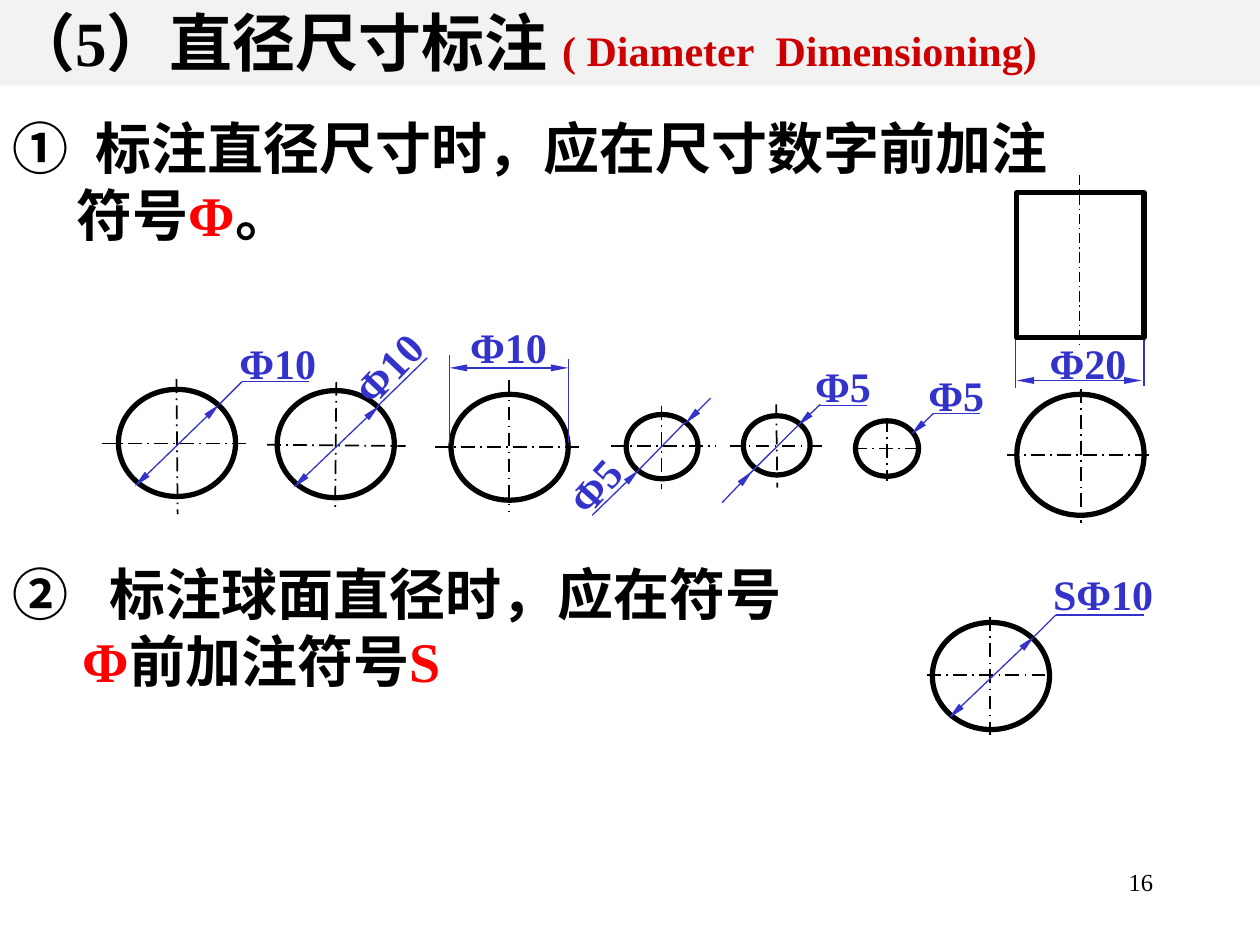
from pptx import Presentation
from pptx.dml.color import RGBColor
from pptx.enum.dml import MSO_LINE
from pptx.enum.shapes import MSO_CONNECTOR, MSO_SHAPE
from pptx.enum.text import MSO_ANCHOR as ANCHOR, PP_ALIGN as ALIGN
from pptx.oxml.ns import qn
from pptx.util import Pt
from lxml.etree import SubElement

PX = 9144
FONT = "Times New Roman"
COLORS = {
    "ink": "000000",
    "dimension": "3333CC",
    "symbol": "FF0000",
    "subtitle": "CC0000",
    "band": "F2F2F2",
}


def color(name):
    return RGBColor.from_string(COLORS[name])


def px(*lengths):
    return [length * PX for length in lengths]


def add_run(paragraph, text, size, ink="ink", bold=True, spacing=0):
    run = paragraph.add_run()
    run.text = text
    run.font.name = FONT
    run.font.size = Pt(size)
    run.font.bold = bold
    run.font.color.rgb = color(ink)
    if spacing:
        run._r.get_or_add_rPr().set("spc", str(spacing * 100))


def add_text_box(shapes, box, anchor=ANCHOR.MIDDLE, wrap=True):
    frame = shapes.add_textbox(*px(*box)).text_frame
    frame.word_wrap = wrap
    frame.vertical_anchor = anchor
    return frame


def add_label(view, text, box, rotation=0):
    shape = view.add_textbox(*px(*box))
    shape.rotation = rotation
    frame = shape.text_frame
    frame.word_wrap = False
    frame.vertical_anchor = ANCHOR.MIDDLE
    frame.paragraphs[0].alignment = ALIGN.CENTER
    add_run(frame.paragraphs[0], text, 24, "dimension")


def add_outline(view, preset, box):
    outline = view.add_shape(preset, *px(*box))
    outline.shadow.inherit = False
    outline.fill.background()
    outline.line.color.rgb = color("ink")
    outline.line.width = Pt(3)


def add_line(view, ends, ink="dimension", width=0.75, dash=None, arrows=()):
    line = view.add_connector(MSO_CONNECTOR.STRAIGHT, *px(*ends))
    line.line.color.rgb = color(ink)
    line.line.width = Pt(width)
    if dash:
        line.line.dash_style = dash
    outline = line.line._get_or_add_ln()
    for end in arrows:
        SubElement(outline, qn(f"a:{end}"), type="triangle", w="sm", len="lg")
    SubElement(line._element.spPr, qn("a:effectLst"))


def add_axis(view, ends, width=1):
    add_line(view, ends, "ink", width, MSO_LINE.LONG_DASH_DOT)


def add_dimension(view, ends, width=0.75):
    add_line(view, ends, width=width, arrows=("headEnd", "tailEnd"))


def add_pointer(view, ends):
    add_line(view, ends, arrows=("headEnd",))


def add_circle_view(slide, circle, axes, dimensions=(), pointers=(), lines=(), label=None):
    view = slide.shapes.add_group_shape().shapes
    add_outline(view, MSO_SHAPE.OVAL, circle)
    for draw, parts in ((add_axis, axes), (add_dimension, dimensions),
                        (add_pointer, pointers), (add_line, lines)):
        for ends in parts:
            draw(view, ends)
    add_label(view, *label)
    return view


def add_circle_views(slide):
    add_circle_view(
        slide, (740, 494, 93, 85), [(736, 536, 838, 536), (786, 490, 786, 586)],
        dimensions=[(753, 570, 821, 505)],
        lines=[(821, 505, 838, 488), (838, 488, 908, 488)],
        label=("SΦ10", (811, 446, 129, 50)))
    add_circle_view(
        slide, (94, 309, 93, 85), [(81, 352, 197, 352), (140, 301, 141, 408)],
        dimensions=[(107, 386, 174, 321)],
        lines=[(174, 321, 192, 303), (192, 303, 245, 303)],
        label=("Φ10", (176, 263, 89, 50)))
    add_circle_view(
        slide, (220, 310, 93, 85), [(212, 353, 322, 354), (267, 303, 266, 406)],
        dimensions=[(233, 387, 301, 322)],
        lines=[(299, 323, 339, 284)],
        label=("Φ10", (243, 267, 130, 50), 313.6))
    add_circle_view(
        slide, (358, 313, 93, 84), [(345, 355, 463, 355), (404, 302, 404, 406)],
        dimensions=[(357, 292, 451, 292)],
        lines=[(357, 352, 357, 282), (451, 352, 451, 285)],
        label=("Φ10", (354, 250, 99, 50)))
    add_circle_view(
        slide, (497, 329, 57, 51), [(485, 354, 568, 354), (525, 322, 525, 388)],
        pointers=[(544, 336, 564, 316), (507, 373, 470, 409)],
        lines=[(506, 374, 544, 335)],
        label=("Φ5", (440, 360, 64, 50), 312))
    add_circle_view(
        slide, (590, 330, 53, 47), [(579, 354, 654, 354), (616, 321, 617, 387)],
        pointers=[(633, 338, 651, 321), (597, 374, 573, 399)],
        lines=[(594, 377, 633, 338), (651, 322, 688, 322)],
        label=("Φ5", (637, 281, 64, 50)))
    add_circle_view(
        slide, (679, 334, 50, 44), [(677, 356, 731, 356), (704, 332, 704, 382)],
        pointers=[(723, 345, 741, 328)],
        lines=[(741, 328, 778, 328)],
        label=("Φ5", (727, 288, 64, 50)))


def add_cylinder_views(slide):
    view = add_circle_view(
        slide, (807, 313, 101, 96), [(858, 309, 858, 415), (912, 361, 799, 361)],
        lines=[(908, 268, 908, 306), (806, 268, 806, 308)],
        label=("Φ20", (818, 263, 91, 50)))
    add_dimension(view, (906, 302, 807, 302), 1)
    add_outline(view, MSO_SHAPE.RECTANGLE, (807, 153, 101, 115))
    add_axis(view, (857, 139, 857, 276), 0.75)


def add_title(slide):
    band = slide.shapes.add_shape(MSO_SHAPE.RECTANGLE, *px(0, -3, 1000, 71))
    band.shadow.inherit = False
    band.fill.solid()
    band.fill.fore_color.rgb = color("band")
    band.line.fill.background()
    band.text_frame.word_wrap = True
    band.text_frame.vertical_anchor = ANCHOR.MIDDLE
    heading = band.text_frame.paragraphs[0]
    heading.alignment = ALIGN.LEFT
    add_run(heading, "（5）直径尺寸标注 ", 36)
    add_run(heading, "( Diameter", 24, "subtitle")
    add_run(heading, " ", 24, "subtitle", spacing=6)
    add_run(heading, "Dimensioning)", 24, "subtitle")


def set_number(paragraph, start):
    properties = paragraph._p.get_or_add_pPr()
    properties.set("marL", str(56 * PX))
    properties.set("indent", str(-56 * PX))
    SubElement(properties, qn("a:buFont"), typeface=FONT)
    SubElement(properties, qn("a:buAutoNum"), type="circleNumDbPlain", startAt=str(start))


def add_rule(slide, box, number, gap, *lines):
    frame = add_text_box(slide.shapes, box)
    for index, phrases in enumerate(lines):
        paragraph = frame.add_paragraph() if index else frame.paragraphs[0]
        if index:
            paragraph._p.get_or_add_pPr().set("marL", str(51 * PX))
        else:
            set_number(paragraph, number)
            add_run(paragraph, " ", 32, spacing=gap)
        for text, ink in phrases:
            add_run(paragraph, text, 32, ink)


def add_page_number(slide):
    frame = add_text_box(slide.shapes, (717, 683, 208, 50), ANCHOR.TOP)
    frame.paragraphs[0].alignment = ALIGN.RIGHT
    add_run(frame.paragraphs[0], "16", 14, bold=False)


def main():
    deck = Presentation()
    deck.slide_width, deck.slide_height = px(1000, 750)
    slide = deck.slides.add_slide(deck.slide_layouts[6])
    add_page_number(slide)
    add_circle_views(slide)
    add_title(slide)
    add_rule(slide, (0, 84, 1000, 118), 1, 0,
             [("标注直径尺寸时，应在尺寸数字前加注", "ink")],
             [("符号", "ink"), ("Φ", "symbol"), ("。", "ink")])
    add_rule(slide, (0, 438, 650, 118), 2, 8,
             [("标注球面直径时，应在符号", "ink"), ("Φ", "symbol"),
              ("前加注符号", "ink"), ("S", "symbol")])
    add_cylinder_views(slide)
    deck.save("out.pptx")


if __name__ == "__main__":
    main()
